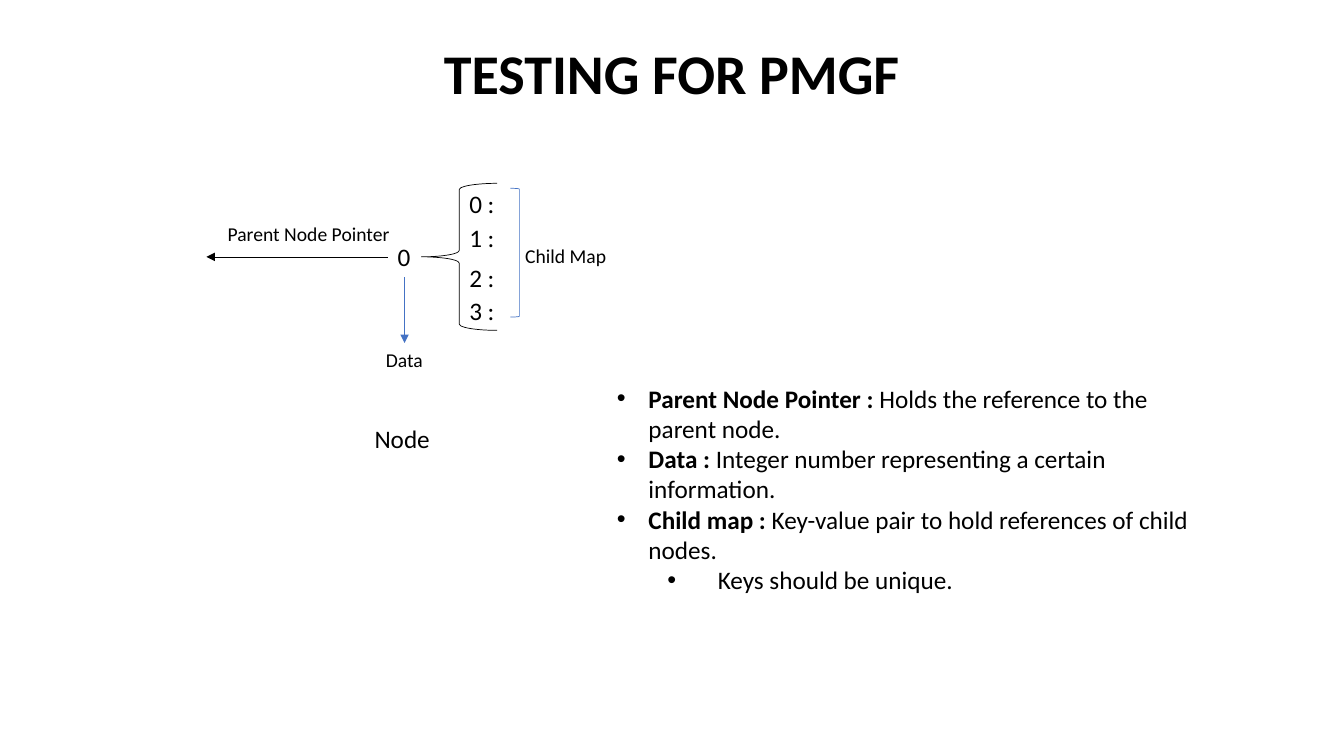
from pptx import Presentation
from pptx.dml.color import RGBColor
from pptx.enum.shapes import MSO_CONNECTOR as CXN, MSO_SHAPE as SHAPE
from pptx.enum.text import MSO_ANCHOR as ANCHOR, MSO_AUTO_SIZE as AUTO, PP_ALIGN as ALIGN
from pptx.oxml.ns import qn
from pptx.util import Pt
from lxml.etree import SubElement

BLACK, BLUE = "000000", "4472C4"
KEY_TOPS = [131, 155, 184, 207.5]
# (left margin, hanging indent) in points for each list level
INDENTS = [(22.5, -22.5), (72, -36)]
DEFINITIONS = [
    (0, "Parent Node Pointer : ", "Holds the reference to the parent node."),
    (0, "Data :", " Integer number representing a certain information."),
    (0, "Child map :", " Key-value pair to hold references of child nodes."),
    (1, "", "Keys should be unique."),
]


def color(value):
    return RGBColor.from_string(value)


def add_run(p, text, size, bold=False):
    r = p.add_run()
    r.text = text
    for name, value in {"name": "Calibri", "size": Pt(size), "bold": bold}.items():
        setattr(r.font, name, value)
    r.font.color.rgb = color(BLACK)


def place(sp, left, top, width, height):
    box = {"left": left, "top": top, "width": width, "height": height}
    for name, value in box.items():
        setattr(sp, name, Pt(value))


def add_label(shapes, text, box, size=18, align=ALIGN.LEFT):
    sp = shapes.add_textbox(*map(Pt, box))
    tf = sp.text_frame
    tf.word_wrap = False
    p = tf.paragraphs[0]
    p.alignment = align
    add_run(p, text, size)
    return sp


def add_bracket(shapes, kind, box, line):
    sp = shapes.add_shape(kind, *map(Pt, box))
    sp.shadow.inherit = False
    sp.fill.background()
    sp.line.color.rgb = color(line)
    sp.line.width = Pt(0.5)


def add_arrow(shapes, start, end, line):
    arrow = shapes.add_connector(CXN.STRAIGHT, *map(Pt, start + end))
    arrow.line.color.rgb = color(line)
    arrow.line.width = Pt(0.5)
    SubElement(arrow.line._get_or_add_ln(), qn("a:tailEnd"), type="triangle")
    SubElement(arrow._element.spPr, qn("a:effectLst"))
    return arrow


def add_bullet(p, level):
    p.level = level
    p.space_before = Pt(0)
    pPr = p._p.get_or_add_pPr()
    for name, value in zip(("marL", "indent"), INDENTS[level]):
        pPr.set(name, str(int(Pt(value))))
    SubElement(pPr, qn("a:buFont"), typeface="Arial")
    SubElement(pPr, qn("a:buChar"), char="•")


def fill_title(sp, text):
    place(sp, 183.5, 24, 592.5, 55.5)
    tf = sp.text_frame
    tf.auto_size = AUTO.NONE
    tf.vertical_anchor = ANCHOR.MIDDLE
    p = tf.paragraphs[0]
    p.alignment = ALIGN.CENTER
    add_run(p, text, 40, bold=True)


def fill_definitions(sp):
    place(sp, 433.5, 270, 423.5, 160)
    tf = sp.text_frame
    tf.auto_size = AUTO.NONE
    for i, (level, term, meaning) in enumerate(DEFINITIONS):
        p = tf.add_paragraph() if i else tf.paragraphs[0]
        add_bullet(p, level)
        if term:
            add_run(p, term, 18, bold=True)
        add_run(p, meaning, 18)


def draw_node(shapes):
    # Node value and the keys of its child map
    add_bracket(shapes, SHAPE.LEFT_BRACE, (301, 131, 54, 105), BLACK)
    value = add_label(shapes, "0", (277, 169, 24, 29))
    for key, top in enumerate(KEY_TOPS):
        add_label(shapes, f"{key} : ", (328, top, 36.5, 29), align=ALIGN.CENTER)
    add_bracket(shapes, SHAPE.RIGHT_BRACKET, (364.5, 134.5, 6.5, 92), BLUE)
    add_label(shapes, "Child Map", (368, 170.5, 73.5, 24.5), 14)

    # Pointers to the parent and to the data
    add_label(shapes, "Parent Node Pointer", (155.5, 155, 131, 24.5), 14)
    data = add_label(shapes, "Data", (268.5, 245, 41, 24.5), 14)
    to_parent = add_arrow(shapes, (277, 183.5), (147.5, 183.5), BLACK)
    to_parent.begin_connect(value, 1)
    to_data = add_arrow(shapes, (289, 198), (289, 245), BLUE)
    to_data.begin_connect(value, 2)
    to_data.end_connect(data, 0)


def main():
    prs = Presentation()
    prs.slide_width, prs.slide_height = Pt(960), Pt(540)
    s = prs.slides.add_slide(prs.slide_layouts[1])
    fill_title(s.shapes.title, "TESTING FOR PMGF")
    fill_definitions(s.placeholders[1])

    # Node diagram and its caption
    draw_node(s.shapes.add_group_shape().shapes)
    add_label(s.shapes, "Node", (260, 299, 54.5, 29), align=ALIGN.CENTER)
    prs.save("out.pptx")


if __name__ == "__main__":
    main()
